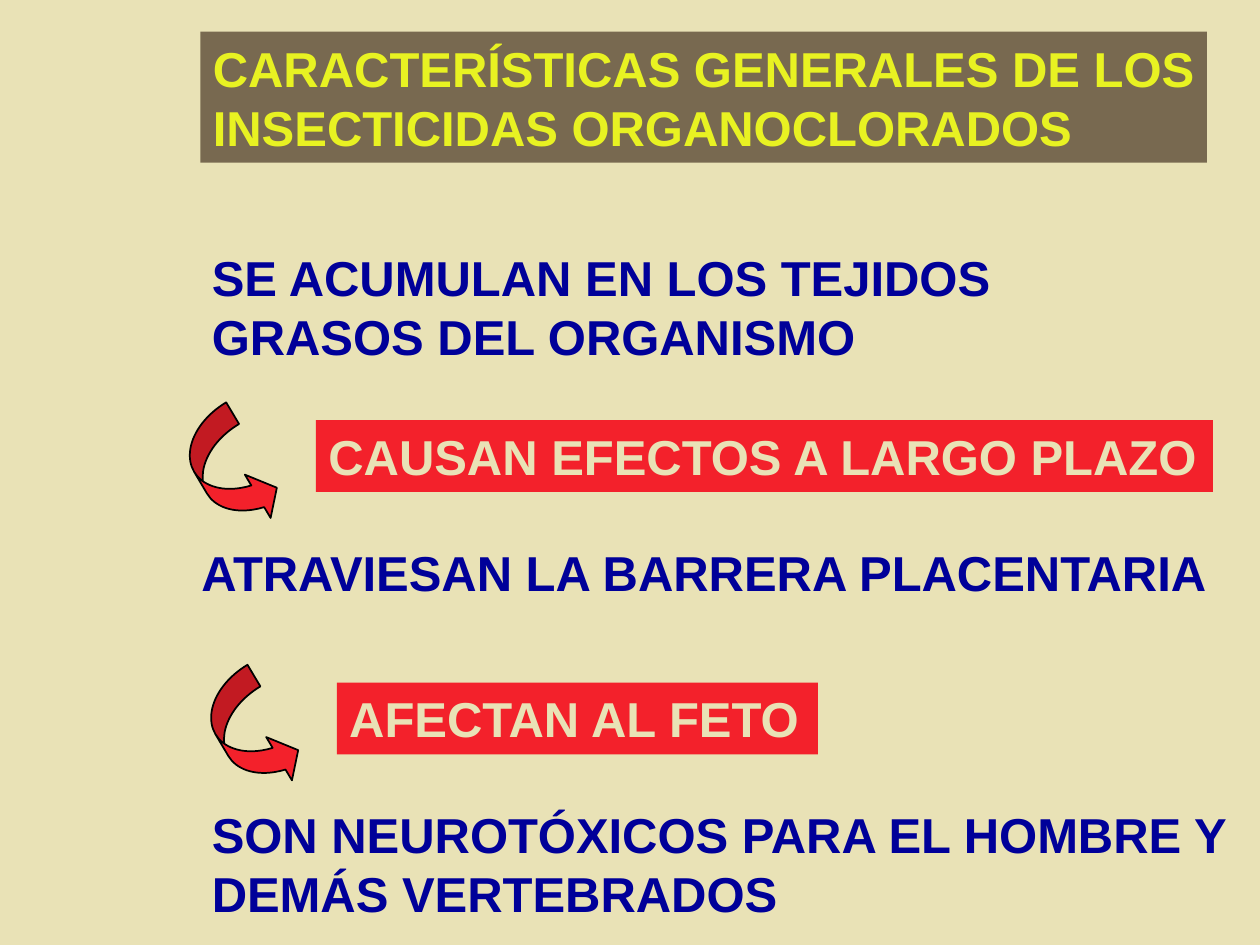
import pptx
import pptx.util
import pptx.dml.color
import pptx.enum.shapes
import pptx.enum.text

Cm = pptx.util.Cm
RGB = pptx.dml.color.RGBColor.from_string

THEME = {
    "background": RGB("E9E2B6"),
    "title_fill": RGB("786950"),
    "title_text": RGB("E8F222"),
    "property_text": RGB("000099"),
    "effect_fill": RGB("F3212B"),
    "effect_text": RGB("E9E2B6"),
    "outline": RGB("000000"),
    "font": {"name": "Arial", "size": pptx.util.Pt(28), "bold": True},
}
FRAME = {
    "margin_left": Cm(0.25), "margin_right": Cm(0.25),
    "margin_top": Cm(0.13), "margin_bottom": Cm(0.13),
    "vertical_anchor": pptx.enum.text.MSO_ANCHOR.TOP,
    "auto_size": pptx.enum.text.MSO_AUTO_SIZE.NONE,
}


def write(box, text, color, wrap=True):
    frame = box.text_frame
    frame.text = text
    for key, value in FRAME.items():
        setattr(frame, key, value)
    frame.word_wrap = wrap
    for paragraph in frame.paragraphs:
        paragraph.alignment = pptx.enum.text.PP_ALIGN.LEFT
        for key, value in THEME["font"].items():
            setattr(paragraph.font, key, value)
        paragraph.font.color.rgb = color


def paint(shape, color):
    shape.fill.solid()
    shape.fill.fore_color.rgb = color


presentation = pptx.Presentation()
presentation.slide_width, presentation.slide_height = Cm(25.4), Cm(19.05)
slide = presentation.slides.add_slide(presentation.slide_layouts[5])
slide.background.fill.solid()
slide.background.fill.fore_color.rgb = THEME["background"]

# Title bar
title = slide.shapes.title
title.left, title.top, title.width, title.height = Cm(4.04), Cm(0.64), Cm(20.29), Cm(2.64)
paint(title, THEME["title_fill"])
write(title, "CARACTERÍSTICAS GENERALES DE LOS\nINSECTICIDAS ORGANOCLORADOS",
      THEME["title_text"], wrap=False)

# Properties of the insecticides
properties = [
    ("SE ACUMULAN EN LOS TEJIDOS GRASOS DEL ORGANISMO", 4.02, 4.87, 20.24, 2.64),
    ("ATRAVIESAN LA BARRERA PLACENTARIA", 3.81, 10.8, 21.16, 1.45),
    ("SON NEUROTÓXICOS PARA EL HOMBRE Y DEMÁS VERTEBRADOS", 4.02, 16.09, 21.16, 2.64),
]
for text, *place in properties:
    statement = slide.shapes.add_textbox(*map(Cm, place))
    write(statement, text, THEME["property_text"])

# Effects, each with a curved arrow leading to it
effects = [
    ("CAUSAN EFECTOS A LARGO PLAZO", 6.37, 8.47, 18.08, 4.02),
    ("AFECTAN AL FETO", 6.79, 13.76, 9.7, 4.45),
]
for text, left, top, width, arrow_left in effects:
    effect = slide.shapes.add_shape(
        pptx.enum.shapes.MSO_SHAPE.RECTANGLE, Cm(left), Cm(top), Cm(width), Cm(1.45))
    effect.line.fill.background()
    write(effect, text, THEME["effect_text"])

    arrow = slide.shapes.add_shape(
        pptx.enum.shapes.MSO_SHAPE.CURVED_RIGHT_ARROW,
        Cm(arrow_left), Cm(top - 0.21), Cm(1.27), Cm(2.51))
    arrow.rotation = 329.3
    for index, share in enumerate((0.4, 0.8, 0.33)):
        arrow.adjustments[index] = share
    arrow.line.color.rgb = THEME["outline"]
    arrow.line.width = pptx.util.Pt(1)

    for shape in (effect, arrow):
        shape.shadow.inherit = False
        paint(shape, THEME["effect_fill"])

presentation.save("out.pptx")
